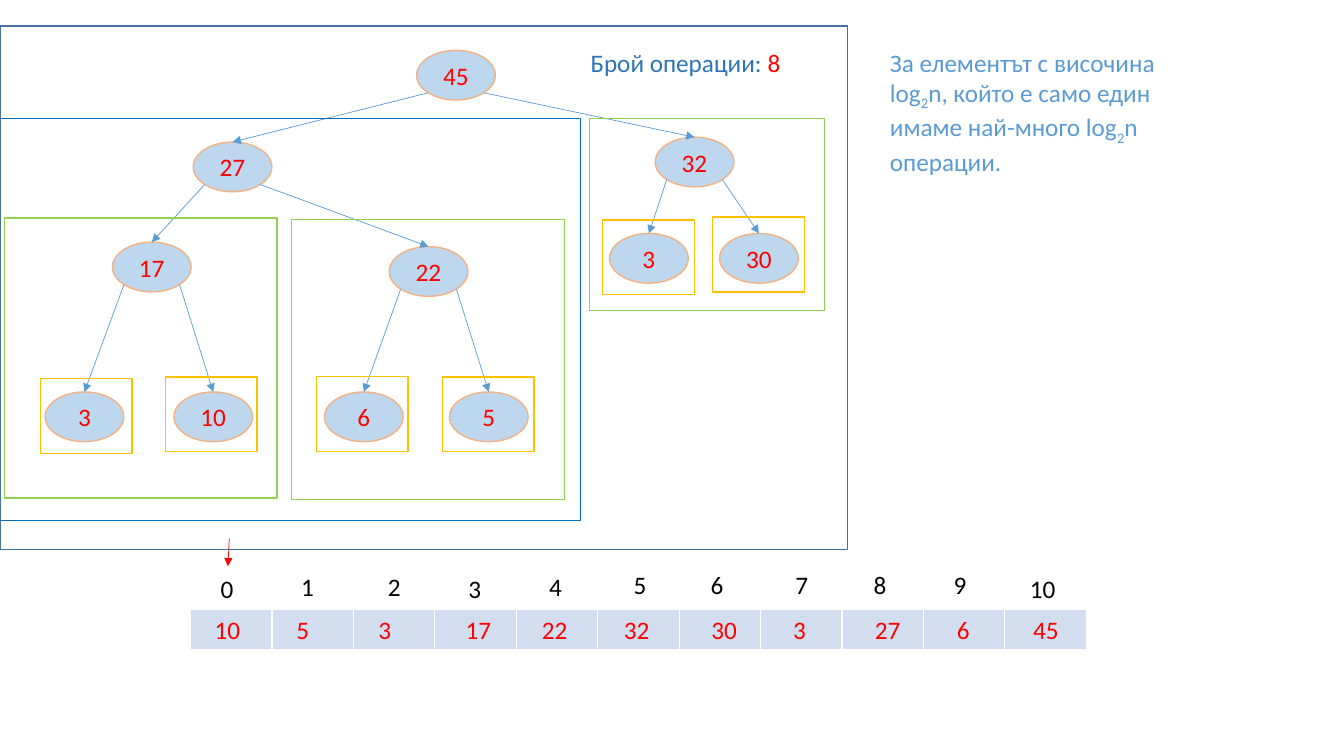
from dataclasses import dataclass
from math import sqrt
from typing import Any, NamedTuple

from lxml import etree
from pptx import Presentation
from pptx.dml.color import RGBColor
from pptx.enum.shapes import MSO_CONNECTOR, MSO_SHAPE
from pptx.enum.text import MSO_ANCHOR, PP_ALIGN
from pptx.oxml.ns import qn
from pptx.util import Pt

OVAL, RECT = MSO_SHAPE.OVAL, MSO_SHAPE.RECTANGLE
STRAIGHT = MSO_CONNECTOR.STRAIGHT
MIDDLE, CENTER = MSO_ANCHOR.MIDDLE, PP_ALIGN.CENTER


@dataclass(frozen=True)
class Theme:
    """Colours, font and sizes of the slide."""
    font: str = "Calibri"
    size: float = 18
    thin: float = 0.5
    line: float = 1
    black: str = "000000"
    red: str = "FF0000"
    blue: str = "5B9BD5"
    deep: str = "2E75B6"
    oval: str = "BDD7EE"
    rim: str = "F4B183"
    cell: str = "D2DEEF"
    gold: str = "FFC000"
    green: str = "92D050"
    navy: str = "0070C0"
    steel: str = "43739E"


class Box(NamedTuple):
    """A place in points."""
    left: float
    top: float
    width: float
    height: float


class Node(NamedTuple):
    """A heap node: its value, corner and parent's index."""
    value: int
    left: float
    top: float
    parent: int | None = None
    side: int = 0


class Frame(NamedTuple):
    """An outline around a subtree."""
    box: Box
    color: str


class Part(NamedTuple):
    """A stretch of text in one format."""
    text: str
    color: str
    sub: bool = False


THEME = Theme()
OVAL_W, OVAL_H = 56.2, 35.5
TEXT_H = 29
LEFT, RIGHT = -1, 1

NODES = [
    Node(45, 297.6, 36),
    Node(27, 138, 101.5, 0, LEFT),
    Node(32, 468, 98, 0, RIGHT),
    Node(17, 80.3, 173, 1, LEFT),
    Node(22, 278, 176.2, 1, RIGHT),
    Node(3, 435.4, 166.8, 2, LEFT),
    Node(30, 514, 166.8, 2, RIGHT),
    Node(3, 32.2, 280, 3, LEFT),
    Node(10, 124.2, 280, 3, RIGHT),
    Node(6, 231.8, 280, 4, LEFT),
    Node(5, 321, 280, 4, RIGHT),
]

LEAVES = [(28.8, 270.5), (118, 269.2), (226, 269), (316, 269.2),
          (430.4, 157), (509, 155)]
FRAMES = [Frame(Box(x, y, 65.5, 53.5), THEME.gold) for x, y in LEAVES] + [
    Frame(Box(208.2, 156.8, 195, 200), THEME.green),
    Frame(Box(3, 155.7, 195, 200), THEME.green),
    Frame(Box(421, 84.5, 168, 137.2), THEME.green),
    Frame(Box(0, 84.5, 414.7, 287.3), THEME.navy),
    Frame(Box(0, 18.5, 605.3, 374), THEME.steel),
]

ROW = Box(136.1, 435, 640, 29.2)
VALUES = [10, 5, 3, 17, 22, 32, 30, 3, 27, 6, 45]
VALUE_X, VALUE_STEP = 146.2, 58.46
NUDGED, NUDGE = {3, 6, 7, 8, 9}, 4
MARKS = [(150.5, 406), (208, 404.5), (270, 404.5), (327.5, 406),
         (385.2, 404.5), (445.5, 403), (500.5, 403), (561, 403),
         (617, 403), (674, 403), (728.5, 406)]


def rgb(color: str) -> RGBColor:
    """Turn a hex string into a colour."""
    return RGBColor.from_string(color)


def apply(target: Any, values: dict[str, Any]) -> None:
    """Set each named attribute on the target."""
    for name, value in values.items():
        setattr(target, name, value)


def place(box: Box) -> list[Pt]:
    """Give a box as slide lengths."""
    return [Pt(n) for n in box]


def stroke(line: Any, color: str, width: float) -> None:
    """Colour and size a line."""
    line.fill.solid()
    line.fill.fore_color.rgb = rgb(color)
    line.width = Pt(width)


def write(frame: Any, parts: list[Part]) -> None:
    """Write formatted parts into the first paragraph."""
    for part in parts:
        run = frame.paragraphs[0].add_run()
        run.text = part.text
        apply(run.font, {"name": THEME.font, "size": Pt(THEME.size)})
        run.font.color.rgb = rgb(part.color)
        if part.sub:
            run._r.get_or_add_rPr().set("baseline", "-25000")


def label(slide: Any, box: Box, parts: list[Part]) -> None:
    """Add a wrapping text box."""
    frame = slide.shapes.add_textbox(*place(box)).text_frame
    frame.word_wrap = True
    write(frame, parts)


def shape(slide: Any, kind: Any, box: Box, color: str, fill: str = "") -> Any:
    """Add a flat shape, filled only when a fill is given."""
    item = slide.shapes.add_shape(kind, *place(box))
    item.shadow.inherit = False
    if fill:
        item.fill.solid()
        item.fill.fore_color.rgb = rgb(fill)
    else:
        item.fill.background()
    stroke(item.line, color, THEME.line)
    return item


def arrow(slide: Any, start: tuple[float, float], end: tuple[float, float],
          color: str) -> Any:
    """Add a thin arrow from start to end."""
    item = slide.shapes.add_connector(STRAIGHT, *(Pt(n) for n in start + end))
    stroke(item.line, color, THEME.thin)
    etree.SubElement(item.line._get_or_add_ln(), qn("a:tailEnd"), type="triangle")
    etree.SubElement(item._element.spPr, qn("a:effectLst"))
    return item


def tree(slide: Any) -> None:
    """Draw the nodes and the arrows from each parent."""
    ovals = []
    for node in NODES:
        box = Box(node.left, node.top, OVAL_W, OVAL_H)
        oval = shape(slide, OVAL, box, THEME.rim, THEME.oval)
        frame = oval.text_frame
        frame.vertical_anchor = MIDDLE
        frame.paragraphs[0].alignment = CENTER
        write(frame, [Part(str(node.value), THEME.red)])
        ovals.append(oval)
    for node, oval in zip(NODES, ovals):
        if node.parent is None:
            continue
        top = NODES[node.parent]
        start = (top.left + OVAL_W / 2 * (1 + node.side / sqrt(2)),
                 top.top + OVAL_H / 2 * (1 + 1 / sqrt(2)))
        end = (node.left + OVAL_W / 2, node.top)
        arrow(slide, start, end, THEME.blue).end_connect(oval, 0)


def array(slide: Any) -> None:
    """Draw the heap's array with its values and marks."""
    table = slide.shapes.add_table(1, len(VALUES), *place(ROW)).table
    apply(table, {"first_row": False, "horz_banding": False})
    for column, cell in zip(table.columns, table.rows[0].cells):
        column.width = Pt(ROW.width / len(VALUES))
        cell.fill.solid()
        cell.fill.fore_color.rgb = rgb(THEME.cell)
        cell.text_frame.paragraphs[0].font.size = Pt(THEME.size)
    for i, (value, (x, y)) in enumerate(zip(VALUES, MARKS)):
        wide = 18 if i < 10 else 34.5
        label(slide, Box(x, y, wide, TEXT_H), [Part(str(i), THEME.black)])
        left = VALUE_X + VALUE_STEP * i + (NUDGE if i in NUDGED else 0)
        label(slide, Box(left, ROW.top, 34, TEXT_H), [Part(str(value), THEME.red)])


def main() -> None:
    """Build and save the slide."""
    deck = Presentation()
    apply(deck, {"slide_width": Pt(960), "slide_height": Pt(540)})
    slide = deck.slides.add_slide(deck.slide_layouts[6])
    array(slide)
    tree(slide)
    for frame in FRAMES:
        shape(slide, RECT, frame.box, frame.color)
    arrow(slide, (163.8, 384.5), (162.8, 404.5), THEME.red)
    label(slide, Box(414.7, 30.2, 286, TEXT_H),
          [Part("Брой операции: ", THEME.deep), Part("8", THEME.red)])
    note = ["За елементът с височина log", "2",
            "n, който е само един имаме най-много log", "2", "n операции."]
    label(slide, Box(628.6, 30.2, 234, 94.5),
          [Part(text, THEME.blue, text == "2") for text in note])
    deck.save("out.pptx")


main()
